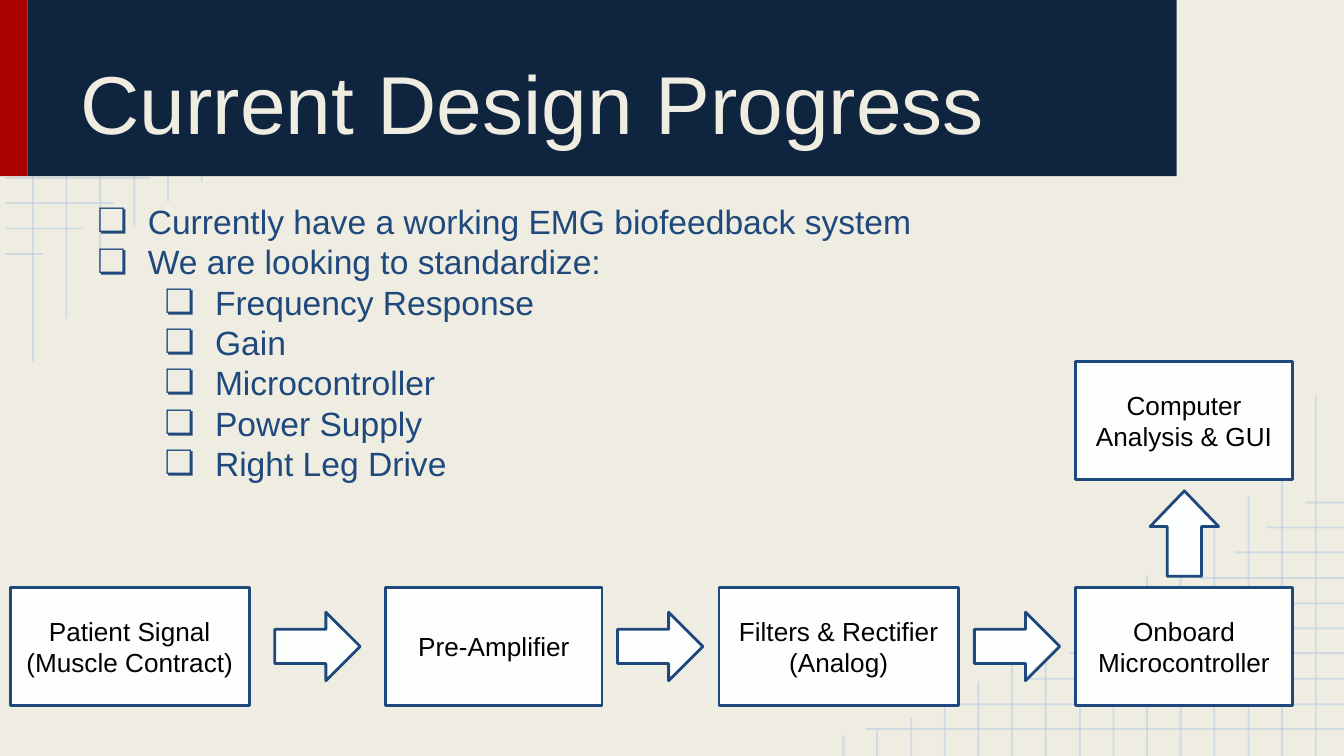
"""Build the design progress slide with its signal chain diagram."""
from lxml import etree
from pptx import Presentation
from pptx.dml.color import RGBColor
from pptx.enum.shapes import MSO_CONNECTOR, MSO_SHAPE
from pptx.enum.text import MSO_ANCHOR, MSO_AUTO_SIZE, PP_ALIGN
from pptx.oxml.ns import qn
from pptx.util import Emu, Pt

RECTANGLE = MSO_SHAPE.RECTANGLE
RIGHT_ARROW = MSO_SHAPE.RIGHT_ARROW
STRAIGHT = MSO_CONNECTOR.STRAIGHT
TOP, MIDDLE, BOTTOM = MSO_ANCHOR.TOP, MSO_ANCHOR.MIDDLE, MSO_ANCHOR.BOTTOM
LEFT, CENTER = PP_ALIGN.LEFT, PP_ALIGN.CENTER
NO_AUTOFIT = MSO_AUTO_SIZE.NONE

CREAM = RGBColor(0xEF, 0xED, 0xE2)
NAVY = RGBColor(0x0F, 0x24, 0x3E)
RED = RGBColor(0xAB, 0x01, 0x01)
BLUE = RGBColor(0x1F, 0x49, 0x7D)
PALE_BLUE = RGBColor(0xB7, 0xCC, 0xE4)
WHITE = RGBColor(0xFD, 0xFF, 0xFF)
BLACK = RGBColor(0, 0, 0)

FONT = "Arial"
EMU_PER_PX = 4572
WIDTH, HEIGHT = 2000, 1125
INSET = 20
ROW_GAP, COLUMN_GAP = 37.5, 50.2
BOX_HEIGHT, CHAIN_TOP, COMPUTER_TOP = 176, 874, 538

TOPICS = [
    (0, "Currently have a working EMG biofeedback system"),
    (0, "We are looking to standardize:"),
    (1, "Frequency Response"),
    (1, "Gain"),
    (1, "Microcontroller"),
    (1, "Power Supply"),
    (1, "Right Leg Drive"),
]
STAGES = [
    (15, CHAIN_TOP, 356, ["Patient Signal", "(Muscle Contract)"]),
    (574, CHAIN_TOP, 322, ["Pre-Amplifier"]),
    (1070, CHAIN_TOP, 356, ["Filters & Rectifier", "(Analog)"]),
    (1601, CHAIN_TOP, 322, ["Onboard", "Microcontroller"]),
    (1601, COMPUTER_TOP, 322, ["Computer Analysis & GUI"]),
]
FLOW_ARROWS = [
    (409, 911, 0, 0.5),
    (919, 911, 0, 0.5),
    (1450, 911, 0, 0.5),
    (1699, 743, 270, 0.52),
]

LEFT_GRID_ENDS = [224, 170, 124, 64]
LEFT_GRID_BOTTOMS = [538, 474, 388, 338, 300, 270]
RIGHT_GRID_STARTS = [1288, 1416, 1526, 1592, 1674, 1734, 1784, 1838, 1884, 1942]
RIGHT_GRID_TOPS = [588, 652, 738, 786, 822, 856, 896, 924,
                   956, 982, 1014, 1050, 1068, 1086, 1094]


def px(length):
    """Turn a length in px into EMU."""
    return Emu(round(length) * EMU_PER_PX)


def add_grid_line(slide, x1, y1, x2, y2):
    """Draw one translucent line of the background grid."""
    grid_line = slide.shapes.add_connector(STRAIGHT, px(x1), px(y1), px(x2), px(y2))
    grid_line.line.color.rgb = PALE_BLUE
    grid_line.line.width = Pt(1)
    color = grid_line.element.spPr.find(".//" + qn("a:srgbClr"))
    etree.SubElement(color, qn("a:alpha"), val="54000")
    etree.SubElement(grid_line.element.spPr, qn("a:effectLst"))


def add_grids(slide):
    """Draw the grids that fade out from two opposite corners."""
    for row, end in enumerate(LEFT_GRID_ENDS):
        y = 265 + ROW_GAP * row
        add_grid_line(slide, 8, y, end, y)
    for column, bottom in enumerate(LEFT_GRID_BOTTOMS):
        x = 49 + COLUMN_GAP * column
        add_grid_line(slide, x, 0, x, bottom)
    for row, start in enumerate(RIGHT_GRID_STARTS):
        y = 1085 - ROW_GAP * row
        add_grid_line(slide, start, y, WIDTH, y)
    for column, top in enumerate(RIGHT_GRID_TOPS):
        x = 1958 - COLUMN_GAP * column
        add_grid_line(slide, x, top, x, HEIGHT)


def add_filled_shape(slide, preset, left, top, width, height, fill, outline=None):
    """Add a flat preset shape with an optional outline."""
    shape = slide.shapes.add_shape(preset, px(left), px(top), px(width), px(height))
    shape.shadow.inherit = False
    shape.fill.solid()
    shape.fill.fore_color.rgb = fill
    if outline is None:
        shape.line.fill.background()
    else:
        shape.line.color.rgb = outline
        shape.line.width = Pt(1.5)
    return shape


def set_frame(frame, anchor):
    """Give a text frame its wrapping, insets and anchor."""
    frame.word_wrap = True
    frame.auto_size = NO_AUTOFIT
    frame.vertical_anchor = anchor
    frame.margin_left = frame.margin_right = px(INSET)
    frame.margin_top = frame.margin_bottom = px(INSET)


def write_paragraph(frame, index, text, size, color, alignment):
    """Write one run into the paragraph at an index and return the paragraph."""
    paragraph = frame.add_paragraph() if index else frame.paragraphs[0]
    paragraph.alignment = alignment
    paragraph.space_before = paragraph.space_after = Pt(0)
    run = paragraph.add_run()
    run.text = text
    run.font.name = FONT
    run.font.size = Pt(size)
    run.font.color.rgb = color
    return paragraph


def add_bullet(paragraph, level):
    """Give a paragraph its level, hanging indent and box bullet."""
    paragraph.level = level
    properties = paragraph._p.get_or_add_pPr()
    properties.set("marL", str(px(100 * (level + 1))))
    properties.set("indent", str(px(-75)))
    bullet_color = etree.SubElement(properties, qn("a:buClr"))
    etree.SubElement(bullet_color, qn("a:srgbClr"), val=str(BLUE))
    etree.SubElement(properties, qn("a:buFont"), typeface=FONT)
    etree.SubElement(properties, qn("a:buChar"), char="❏")


def place_placeholder(slide, placeholder, left, top, width, height, anchor):
    """Move a placeholder to the front and into position."""
    slide.shapes.element.append(placeholder.element)
    placeholder.left, placeholder.top = px(left), px(top)
    placeholder.width, placeholder.height = px(width), px(height)
    set_frame(placeholder.text_frame, anchor)
    return placeholder.text_frame


def add_stage(slide, left, top, width, lines):
    """Add one labelled box of the signal chain."""
    stage = add_filled_shape(slide, RECTANGLE, left, top, width, BOX_HEIGHT, WHITE, BLUE)
    set_frame(stage.text_frame, MIDDLE)
    for index, line in enumerate(lines):
        write_paragraph(stage.text_frame, index, line, 14, BLACK, CENTER)


def add_flow_arrow(slide, left, top, rotation, head_length):
    """Add one block arrow between two stages."""
    arrow = add_filled_shape(slide, RIGHT_ARROW, left, top, 127, 102, WHITE, BLUE)
    arrow.rotation = rotation
    arrow.adjustments[1] = head_length


def main():
    """Assemble and save the slide."""
    presentation = Presentation()
    presentation.slide_width, presentation.slide_height = px(WIDTH), px(HEIGHT)
    slide = presentation.slides.add_slide(presentation.slide_layouts[1])
    slide.background.fill.solid()
    slide.background.fill.fore_color.rgb = CREAM

    add_grids(slide)
    add_filled_shape(slide, RECTANGLE, 0, -2, 41, 264, RED)
    add_filled_shape(slide, RECTANGLE, 41, -2, 1710, 264, NAVY)

    heading = place_placeholder(slide, slide.shapes.title, 100, 23, 1600, 222, BOTTOM)
    write_paragraph(heading, 0, "Current Design Progress", 44, CREAM, LEFT)
    topics = place_placeholder(slide, slide.placeholders[1], 100, 279, 1306, 464, TOP)
    for index, (level, text) in enumerate(TOPICS):
        add_bullet(write_paragraph(topics, index, text, 18, BLUE, LEFT), level)

    for stage in STAGES:
        add_stage(slide, *stage)
    for flow_arrow in FLOW_ARROWS:
        add_flow_arrow(slide, *flow_arrow)
    presentation.save("out.pptx")


if __name__ == "__main__":
    main()
